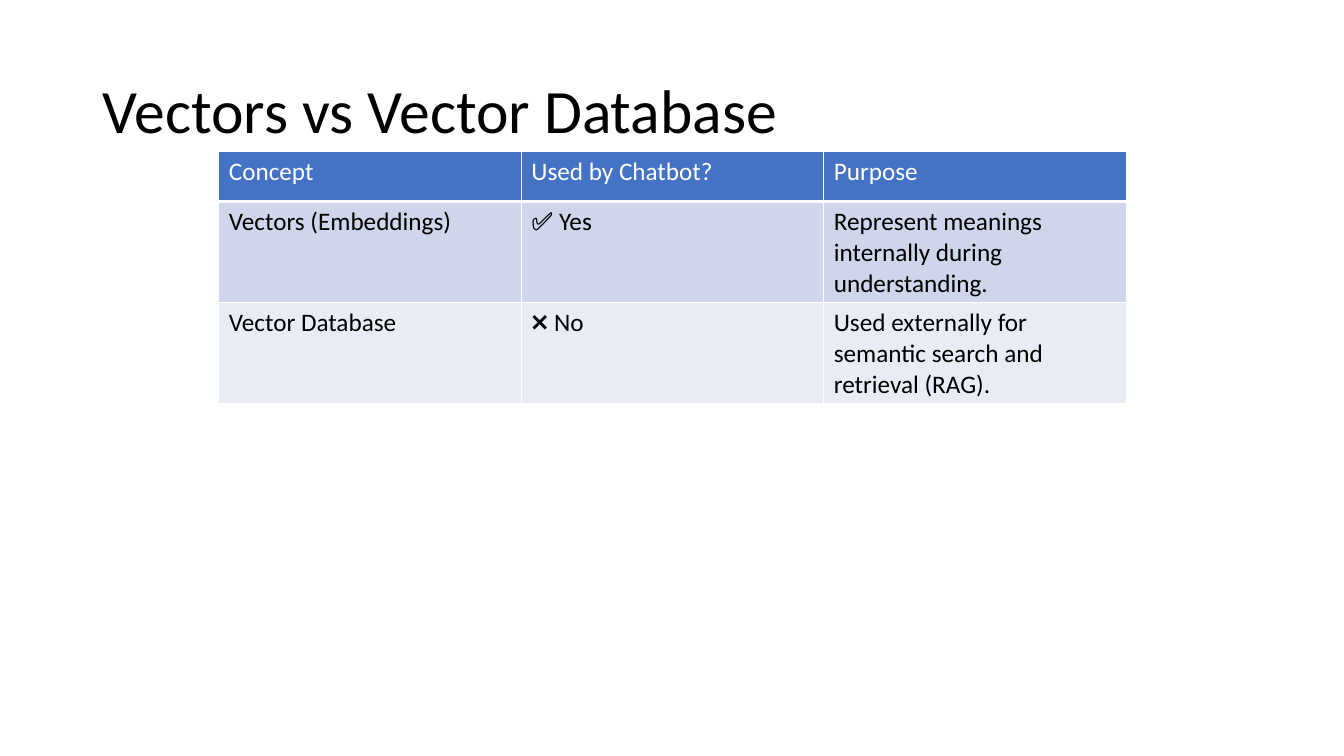
from lxml import etree
from pptx import Presentation
from pptx.dml.color import RGBColor
from pptx.enum.text import MSO_ANCHOR
from pptx.oxml.ns import qn
from pptx.util import Emu, Pt

MIDDLE, TOP = MSO_ANCHOR.MIDDLE, MSO_ANCHOR.TOP
SCALE = 9144  # EMU per px, 100 px to the inch
FONT = "Calibri"
WHITE, BLACK = "FFFFFF", "000000"
FILLS = ["4472C4", "CFD5EA", "E9EBF5"]
ROWS = [
    ["Concept", "Used by Chatbot?", "Purpose"],
    ["Vectors (Embeddings)", "✅ Yes",
     "Represent meanings internally during understanding."],
    ["Vector Database", "❌ No",
     "Used externally for semantic search and retrieval (RAG)."],
]


def px(n):
    return Emu(n * SCALE)


def color(code):
    return RGBColor.from_string(code)


def write(frame, text, size=18, ink=BLACK, anchor=TOP, spacing=None):
    frame.word_wrap = True
    frame.vertical_anchor = anchor
    para = frame.paragraphs[0]
    if spacing:
        para.line_spacing = spacing
    run = para.add_run()
    run.text = text
    font = run.font
    font.name, font.size, font.bold = FONT, Pt(size), False
    font.color.rgb = color(ink)


def border(cell, side, width):
    props = cell._tc.get_or_add_tcPr()
    line = etree.SubElement(props, qn(f"a:ln{side}"), w=str(Pt(width)))
    fill = etree.SubElement(line, qn("a:solidFill"))
    etree.SubElement(fill, qn("a:srgbClr"), val=WHITE)


def add_title(slide, text):
    box = slide.shapes.add_textbox(px(92), px(40), px(1150), px(145))
    write(box.text_frame, text, size=44, anchor=MIDDLE, spacing=0.9)


def add_grid(slide, rows):
    frame = slide.shapes.add_table(
        len(rows), len(rows[0]), px(217), px(150), px(900), px(150))
    table = frame.table
    for r, row in enumerate(rows):
        head = r == 0
        for c, text in enumerate(row):
            cell = table.cell(r, c)
            write(cell.text_frame, text, ink=WHITE if head else BLACK)
            for side in "LRTB":
                border(cell, side, 3 if head and side == "B" else 1)
            cell.fill.solid()
            cell.fill.fore_color.rgb = color(FILLS[r])


def main():
    deck = Presentation()
    deck.slide_width, deck.slide_height = px(1333), px(750)
    slide = deck.slides.add_slide(deck.slide_layouts[6])

    # Heading
    add_title(slide, "Vectors vs Vector Database")

    # Comparison table
    add_grid(slide, ROWS)

    deck.save("out.pptx")


if __name__ == "__main__":
    main()
